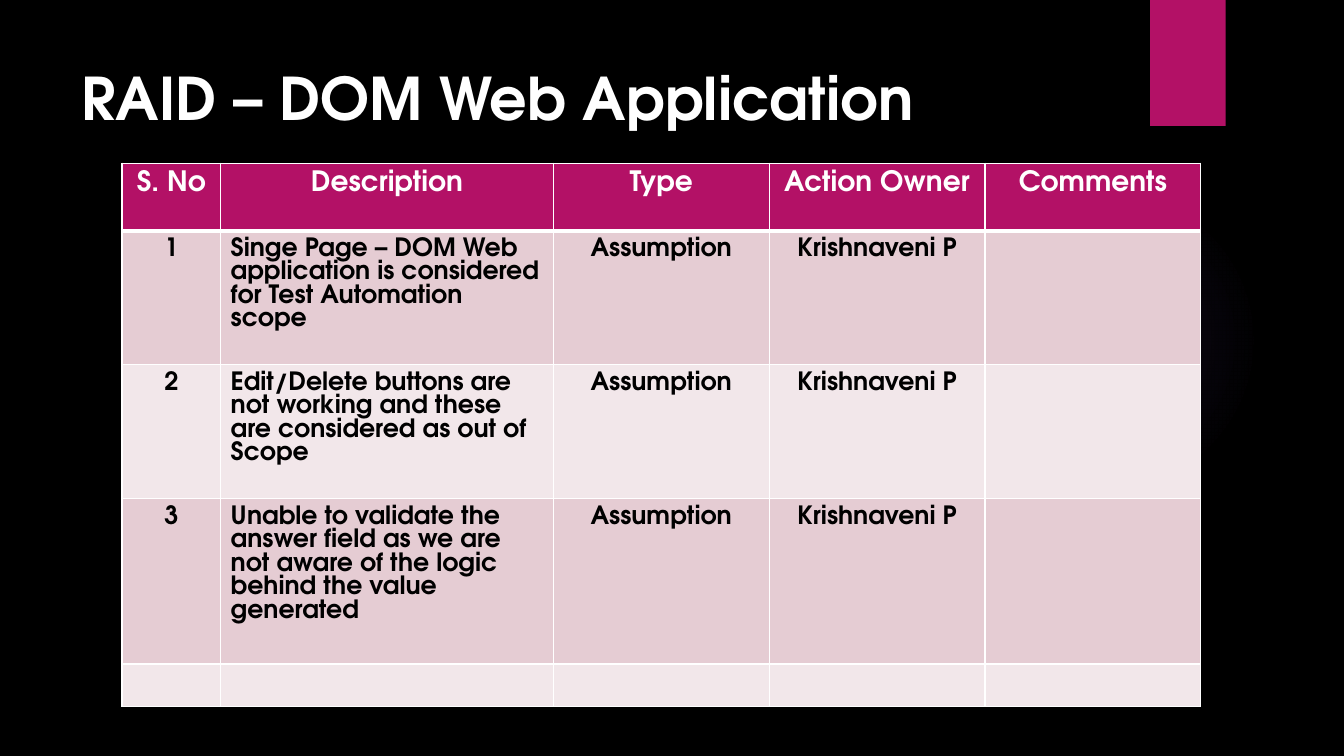
from dataclasses import dataclass

import lxml.etree
import pptx
import pptx.dml.color
import pptx.enum.shapes
import pptx.enum.text
import pptx.oxml
import pptx.oxml.ns
import pptx.util

Pt = pptx.util.Pt
RGB = pptx.dml.color.RGBColor.from_string
Align = pptx.enum.text.PP_ALIGN
Shape = pptx.enum.shapes.MSO_SHAPE
qn = pptx.oxml.ns.qn


@dataclass(frozen=True)
class Theme:
    font: str = "TeX Gyre Adventor"
    back: str = "000000"
    ink: str = "000000"
    light: str = "FFFFFF"
    accent: str = "B31166"
    glow: str = "9B6BF2"
    bands: tuple = ("E5CCD3", "F2E7EA")
    title: float = 42
    head: float = 20
    body: float = 18
    lead: float = 0.93


THEME = Theme()
COLS = (70.5, 237.6, 154.2, 154.2, 154.2)
ROWS = (48.2, 95.8, 95.8, 118, 29.5)
HEADS = ("S. No", "Description", "Type", "Action Owner", "Comments")
RISKS = (
    "Singe Page – DOM Web application is considered for Test Automation scope",
    "Edit/Delete buttons are not working and these are considered as out of Scope",
    "Unable to validate the answer field as we are not aware of the logic "
    "behind the value generated",
)


def write(frame, text, size, color, align=Align.LEFT, lead=THEME.lead):
    frame.word_wrap = True
    para = frame.paragraphs[0]
    para.alignment = align
    para.line_spacing = Pt(round(size * lead, 1))
    if text:
        run = para.add_run()
        run.text = text
        run.font.name = THEME.font
        run.font.size = Pt(size)
        run.font.bold = True
        run.font.color.rgb = RGB(color)


def block(slide, kind, box):
    shape = slide.shapes.add_shape(kind, *map(Pt, box))
    shape.shadow.inherit = False
    shape.line.fill.background()
    return shape


def glow(slide, box):
    """Add a faint round light that fades out to its rim."""
    disc = block(slide, Shape.OVAL, box)
    stops = "".join(
        f'<a:gs pos="{place * 1000}"><a:srgbClr val="{THEME.glow}">'
        f'<a:alpha val="{alpha * 1000}"/></a:srgbClr></a:gs>'
        for place, alpha in ((0, 7), (36, 6), (69, 0)))
    grad = pptx.oxml.parse_xml(
        f'<a:gradFill {pptx.oxml.ns.nsdecls("a")}><a:gsLst>{stops}</a:gsLst>'
        '<a:path path="circle"><a:fillToRect l="50000" t="50000" '
        'r="50000" b="50000"/></a:path></a:gradFill>')
    disc.element.spPr.find(qn("a:prstGeom")).addnext(grad)


def flag(slide, box):
    shape = block(slide, Shape.RECTANGLE, box)
    shape.fill.solid()
    shape.fill.fore_color.rgb = RGB(THEME.accent)


def title(slide, box, text):
    frame = slide.shapes.add_textbox(*map(Pt, box)).text_frame
    write(frame, text, THEME.title, THEME.light, lead=1.3)


def edge(cell, base):
    """Draw white cell borders, with the lower one of the given width."""
    props = cell._tc.get_or_add_tcPr()
    sides = (("lnL", 1), ("lnR", 1), ("lnT", 1), ("lnB", base))
    for spot, (side, width) in enumerate(sides):
        line = lxml.etree.Element(qn(f"a:{side}"), w=str(Pt(width)))
        fill = lxml.etree.SubElement(line, qn("a:solidFill"))
        lxml.etree.SubElement(fill, qn("a:srgbClr"), val=THEME.light)
        props.insert(spot, line)


def grid(slide, box, data):
    table = slide.shapes.add_table(len(ROWS), len(COLS), *map(Pt, box)).table
    for col, width in zip(table.columns, COLS):
        col.width = Pt(width)
    for y, (row, height, texts) in enumerate(zip(table.rows, ROWS, data)):
        row.height = Pt(height)
        top = y == 0
        for x, (cell, text) in enumerate(zip(row.cells, texts)):
            cell.margin_top = Pt(5)
            cell.fill.solid()
            cell.fill.fore_color.rgb = RGB(
                THEME.accent if top else THEME.bands[(y - 1) % 2])
            edge(cell, 3 if top else 1)
            write(cell.text_frame, text,
                  THEME.head if top else THEME.body,
                  THEME.light if top else THEME.ink,
                  align=Align.LEFT if x == 1 and not top else Align.CENTER)


def main():
    deck = pptx.Presentation()
    deck.slide_width, deck.slide_height = Pt(960), Pt(540)
    slide = deck.slides.add_slide(deck.slide_layouts[6])
    slide.background.fill.solid()
    slide.background.fill.fore_color.rgb = RGB(THEME.back)
    glow(slide, (677.5, 131.8, 221.8, 221.8))
    flag(slide, (821.5, 0, 54, 90))
    title(slide, (51.1, 36, 740.9, 110.2), "RAID – DOM Web Application")
    risks = [(str(num), risk, "Assumption", "Krishnaveni P", "")
             for num, risk in enumerate(RISKS, 1)]
    grid(slide, (87.1, 116.6, sum(COLS), sum(ROWS)),
         [HEADS, *risks, ("",) * len(COLS)])
    deck.save("out.pptx")


if __name__ == "__main__":
    main()
